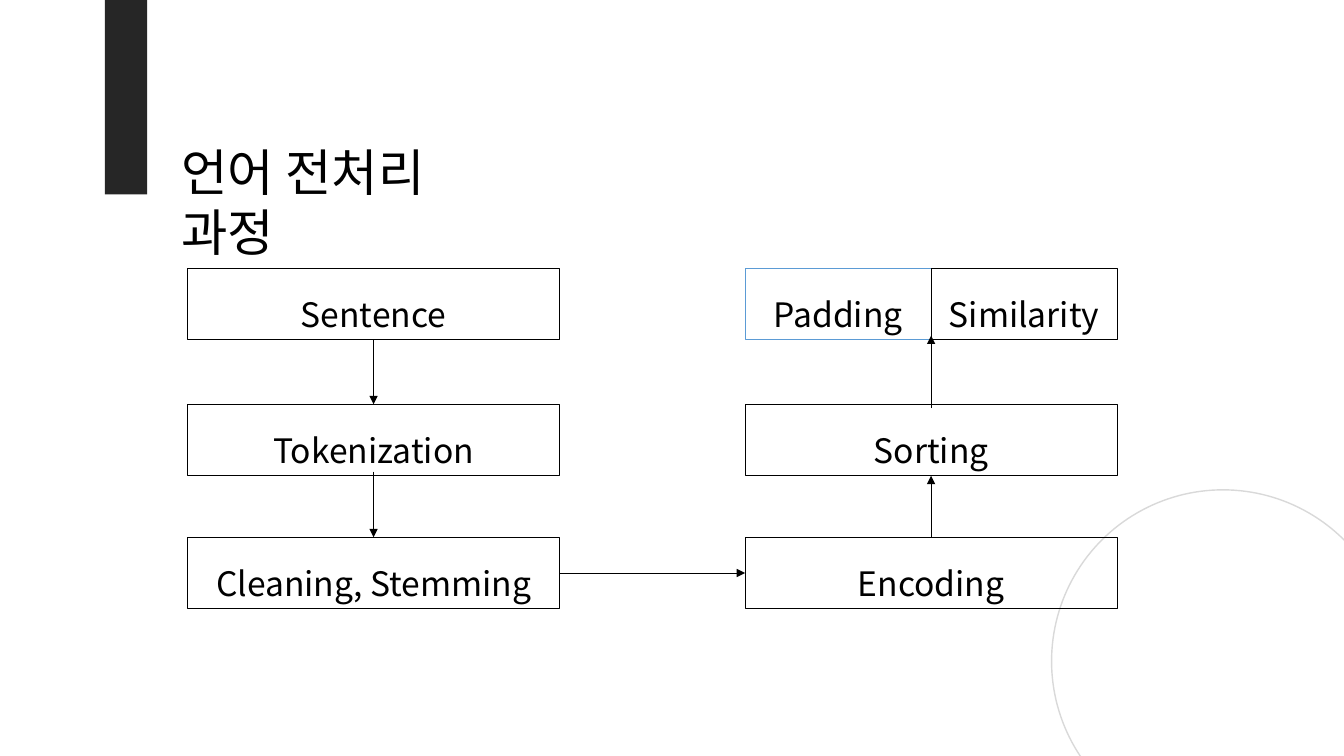
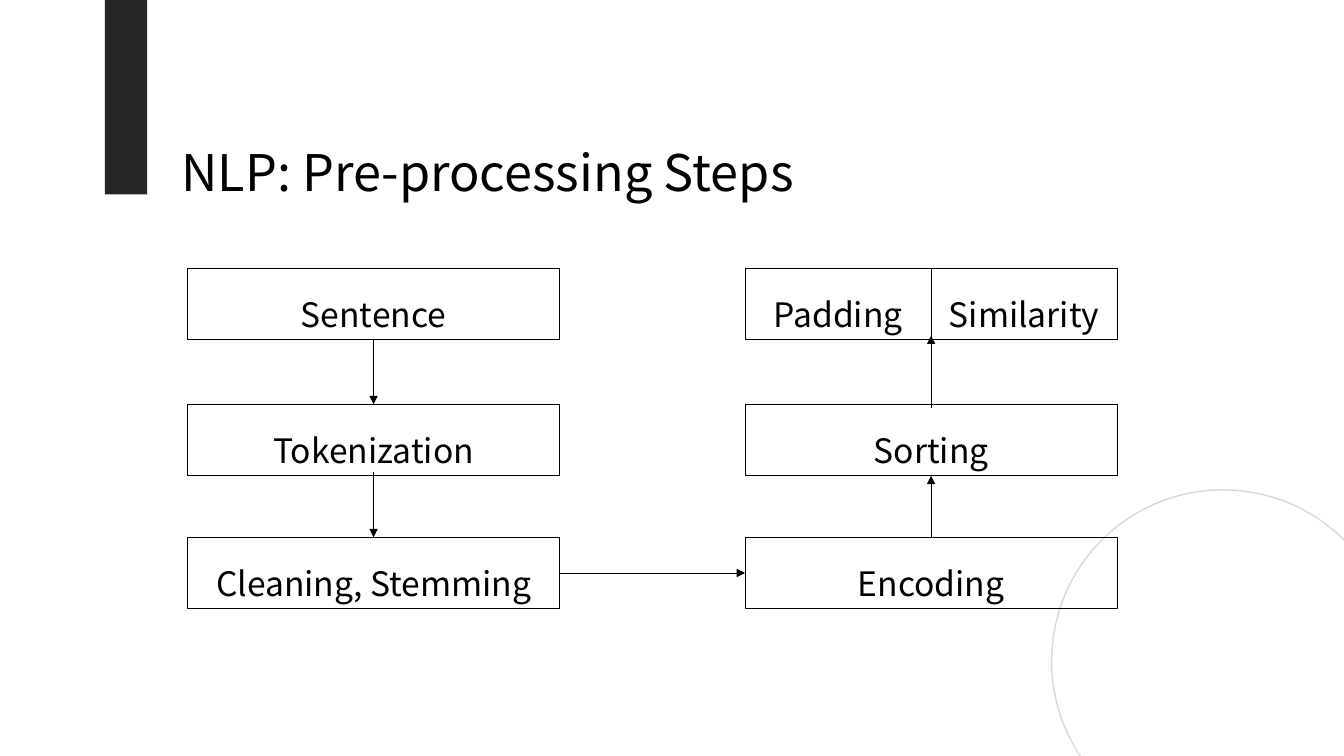
import pptx
import pptx.util
import pptx.dml.color
import pptx.enum.shapes
import pptx.enum.text
import pptx.oxml
import pptx.oxml.ns
from pptx.util import Inches

FONT = "Noto Sans CJK KR"
BLACK, BAR, RING, BLUE = "000000", "262626", "D9D9D9", "5B9BD5"

BOX_WIDTH, BOX_HEIGHT = 3.69, 0.71
ROWS = (2.66, 4.01, 5.33)
LEFT_COLUMN, RIGHT_COLUMN = 1.86, 7.39


def colour(value):
    return pptx.dml.color.RGBColor.from_string(value)


def add_shape(slide, kind, box, fill=None, line=None, line_width=0.75):
    """Add a preset shape; box is left, top, width, height in inches."""
    shape = slide.shapes.add_shape(kind, *map(Inches, box))
    shape.shadow.inherit = False
    if fill:
        shape.fill.solid()
        shape.fill.fore_color.rgb = colour(fill)
    else:
        shape.fill.background()
    if line:
        shape.line.color.rgb = colour(line)
        shape.line.width = pptx.util.Pt(line_width)
    else:
        shape.line.fill.background()
    return shape


def set_text(shape, text, size):
    """Write one run, with the font set for Latin and for Korean letters."""
    paragraph = shape.text_frame.paragraphs[0]
    paragraph.text = text
    run = paragraph.runs[0]
    run.font.size = pptx.util.Pt(size)
    run.font.name = FONT
    run.font.color.rgb = colour(BLACK)
    east_asian = pptx.oxml.parse_xml(
        f'<a:ea {pptx.oxml.ns.nsdecls("a")} typeface="{FONT}"/>')
    run.font._element.append(east_asian)
    return paragraph


def add_step(slide, text, left, top, width=BOX_WIDTH, line=BLACK):
    shape = add_shape(slide, pptx.enum.shapes.MSO_SHAPE.RECTANGLE,
                      (left, top, width, BOX_HEIGHT), line=line)
    shape.text_frame.word_wrap = True
    shape.text_frame.vertical_anchor = pptx.enum.text.MSO_ANCHOR.MIDDLE
    paragraph = set_text(shape, text, 24)
    paragraph.alignment = pptx.enum.text.PP_ALIGN.CENTER
    paragraph.line_spacing = 1.5


def add_arrow(slide, start, end):
    connector = slide.shapes.add_connector(
        pptx.enum.shapes.MSO_CONNECTOR.STRAIGHT, *map(Inches, start + end))
    connector.line.color.rgb = colour(BLACK)
    connector.line.width = pptx.util.Pt(0.5)
    namespace = pptx.oxml.ns.nsdecls("a")
    connector.line._get_or_add_ln().append(
        pptx.oxml.parse_xml(f'<a:tailEnd {namespace} type="triangle"/>'))
    connector._element.spPr.append(
        pptx.oxml.parse_xml(f"<a:effectLst {namespace}/>"))


def add_frame(slide, title, title_width):
    """Add the ring, the dark bar and the title."""
    shapes = pptx.enum.shapes.MSO_SHAPE
    add_shape(slide, shapes.OVAL, (10.43, 4.86, 3.4, 3.4), line=RING, line_width=1)
    add_shape(slide, shapes.RECTANGLE, (1.04, 0, 0.42, 1.93), fill=BAR)
    text_box = slide.shapes.add_textbox(
        *map(Inches, (1.7, 1.35, title_width, BOX_HEIGHT)))
    text_box.text_frame.word_wrap = True
    set_text(text_box, title, 36)


def add_flow(slide, padding_line):
    """Add the steps, down the left column and up the right one."""
    half = BOX_WIDTH / 2
    top, middle, bottom = ROWS
    left_centre, right_centre = LEFT_COLUMN + half, RIGHT_COLUMN + half
    overlap = 0.04

    for text, row in zip(("Sentence", "Tokenization", "Cleaning, Stemming"), ROWS):
        add_step(slide, text, LEFT_COLUMN, row)
    for text, row in (("Encoding", bottom), ("Sorting", middle)):
        add_step(slide, text, RIGHT_COLUMN, row)
    add_step(slide, "Padding", RIGHT_COLUMN, top, half, padding_line)
    add_step(slide, "Similarity", right_centre, top, half)

    across = bottom + BOX_HEIGHT / 2
    arrows = (
        ((left_centre, top + BOX_HEIGHT), (left_centre, middle)),
        ((left_centre, middle + BOX_HEIGHT - overlap), (left_centre, bottom)),
        ((LEFT_COLUMN + BOX_WIDTH, across), (RIGHT_COLUMN, across)),
        ((right_centre, bottom), (right_centre, middle + BOX_HEIGHT)),
        ((right_centre, middle + overlap), (right_centre, top + BOX_HEIGHT - overlap)),
    )
    for start, end in arrows:
        add_arrow(slide, start, end)


def main():
    presentation = pptx.Presentation()
    presentation.slide_width = Inches(13.33)
    presentation.slide_height = Inches(7.5)
    for title, title_width, padding_line in (
            ("언어 전처리 과정", 3.58, BLUE),
            ("NLP: Pre-processing Steps", 6.43, BLACK)):
        slide = presentation.slides.add_slide(presentation.slide_layouts[6])
        add_frame(slide, title, title_width)
        add_flow(slide, padding_line)
    presentation.save("out.pptx")


if __name__ == "__main__":
    main()
